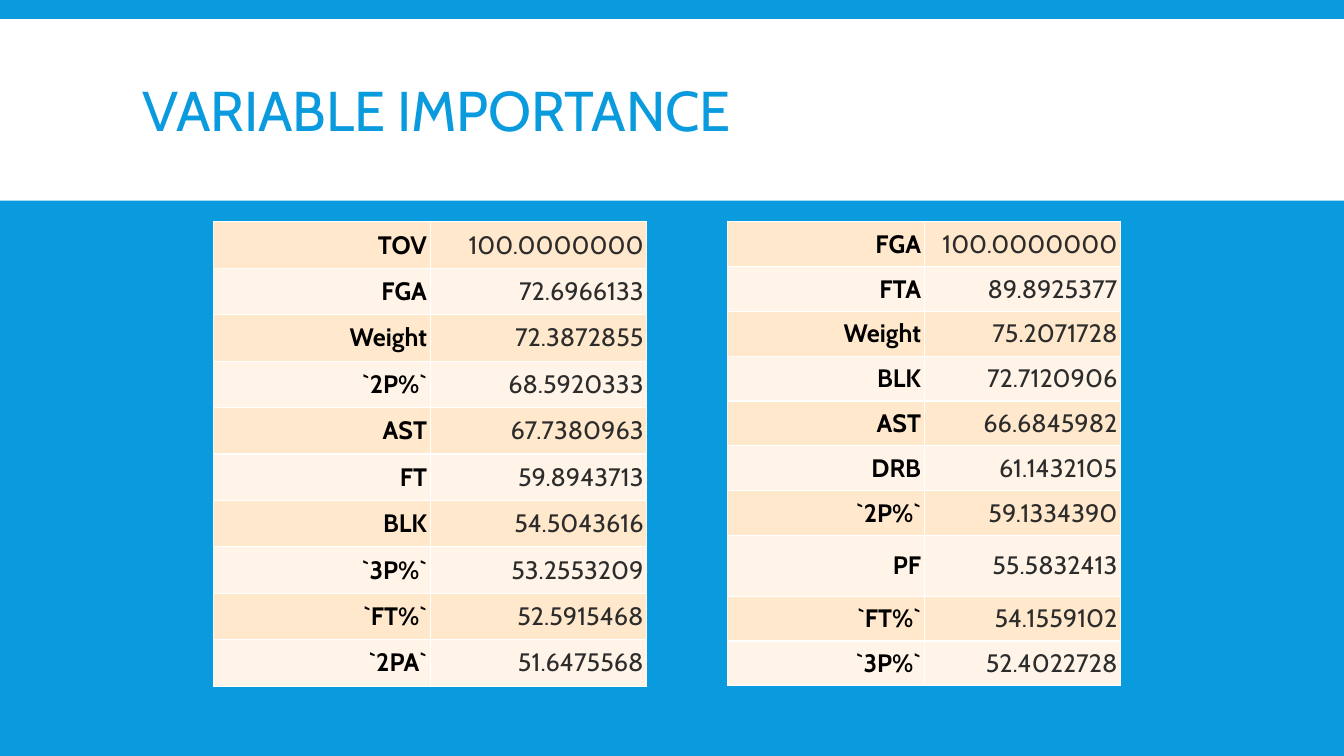
from dataclasses import dataclass, field

from lxml import etree
from pptx import Presentation
from pptx.dml.color import RGBColor
from pptx.enum.shapes import MSO_SHAPE
from pptx.enum.text import MSO_ANCHOR, PP_ALIGN
from pptx.oxml.ns import qn
from pptx.slide import Slide
from pptx.table import _Cell
from pptx.text.text import _Paragraph
from pptx.util import Cm, Pt

RECT = MSO_SHAPE.RECTANGLE
MIDDLE = MSO_ANCHOR.MIDDLE
RIGHT = PP_ALIGN.RIGHT


@dataclass(frozen=True)
class Theme:
    font: str = "Cabin"
    blue: str = "099BDD"
    white: str = "FFFFFF"
    bands: tuple[str, str] = ("FFE8CC", "FFF4E7")
    label: str = "000000"
    value: str = "2C2C2C"
    title_size: int = 40
    cell_size: int = 18
    border: int = 1


@dataclass(frozen=True)
class Ranking:
    left: float
    col: float
    row: float
    items: tuple[tuple[str, str], ...]
    tall: dict[int, float] = field(default_factory=dict)


THEME = Theme()
TOP = 5.59
PAD = 0.08

RANKINGS = (
    Ranking(5.38, 5.46, 1.17, (
        ("TOV", "100.0000000"),
        ("FGA", "72.6966133"),
        ("Weight", "72.3872855"),
        ("`2P%`", "68.5920333"),
        ("AST", "67.7380963"),
        ("FT", "59.8943713"),
        ("BLK", "54.5043616"),
        ("`3P%`", "53.2553209"),
        ("`FT%`", "52.5915468"),
        ("`2PA`", "51.6475568"),
    )),
    Ranking(18.34, 4.95, 1.13, (
        ("FGA", "100.0000000"),
        ("FTA", "89.8925377"),
        ("Weight", "75.2071728"),
        ("BLK", "72.7120906"),
        ("AST", "66.6845982"),
        ("DRB", "61.1432105"),
        ("`2P%`", "59.1334390"),
        ("PF", "55.5832413"),
        ("`FT%`", "54.1559102"),
        ("`3P%`", "52.4022728"),
    ), {7: 1.53}),
)


def style(para: _Paragraph, size: int, color: str, bold: bool = False) -> None:
    for run in para.runs:
        run.font.name = THEME.font
        run.font.size = Pt(size)
        run.font.bold = bold
        run.font.color.rgb = RGBColor.from_string(color)


def add_border(cell: _Cell) -> None:
    props = cell._tc.get_or_add_tcPr()
    for spot, side in enumerate(("lnL", "lnR", "lnT", "lnB")):
        line = etree.Element(qn(f"a:{side}"), w=str(Pt(THEME.border)))
        fill = etree.SubElement(line, qn("a:solidFill"))
        etree.SubElement(fill, qn("a:srgbClr"), val=THEME.white)
        props.insert(spot, line)


def fill_cell(cell: _Cell, text: str, color: str, bold: bool, band: str) -> None:
    cell.margin_left = cell.margin_right = Cm(PAD)
    cell.margin_top = cell.margin_bottom = Cm(PAD)
    cell.vertical_anchor = MIDDLE
    cell.fill.solid()
    cell.fill.fore_color.rgb = RGBColor.from_string(band)
    add_border(cell)
    para = cell.text_frame.paragraphs[0]
    para.text = text
    para.alignment = RIGHT
    style(para, THEME.cell_size, color, bold)


def add_ranking(slide: Slide, rank: Ranking) -> None:
    sizes = [rank.tall.get(i, rank.row) for i in range(len(rank.items))]
    table = slide.shapes.add_table(
        len(sizes), 2, Cm(rank.left), Cm(TOP), Cm(2 * rank.col), Cm(sum(sizes))
    ).table
    table.first_row = table.horz_banding = False
    for col in table.columns:
        col.width = Cm(rank.col)
    for i, (label, value) in enumerate(rank.items):
        table.rows[i].height = Cm(sizes[i])
        band = THEME.bands[i % 2]
        fill_cell(table.cell(i, 0), label, THEME.label, True, band)
        fill_cell(table.cell(i, 1), value, THEME.value, False, band)


def add_header(slide: Slide) -> None:
    # White band
    band = slide.shapes.add_shape(RECT, 0, Cm(0.48), Cm(33.87), Cm(4.58))
    band.shadow.inherit = False
    band.fill.solid()
    band.fill.fore_color.rgb = RGBColor.from_string(THEME.white)
    band.line.fill.background()

    # Title
    frame = slide.shapes.add_textbox(
        Cm(3.35), Cm(0.79), Cm(27.18), Cm(4.19)
    ).text_frame
    frame.word_wrap = True
    frame.vertical_anchor = MIDDLE
    frame.text = "VARIABLE IMPORTANCE"
    para = frame.paragraphs[0]
    para.line_spacing = 0.85
    style(para, THEME.title_size, THEME.blue)


def main() -> None:
    deck = Presentation()
    deck.slide_width, deck.slide_height = Cm(33.87), Cm(19.05)
    slide = deck.slides.add_slide(deck.slide_layouts[6])

    # Background
    back = slide.background.fill
    back.solid()
    back.fore_color.rgb = RGBColor.from_string(THEME.blue)

    add_header(slide)

    # Ranking tables
    for rank in RANKINGS:
        add_ranking(slide, rank)

    deck.save("out.pptx")


if __name__ == "__main__":
    main()
